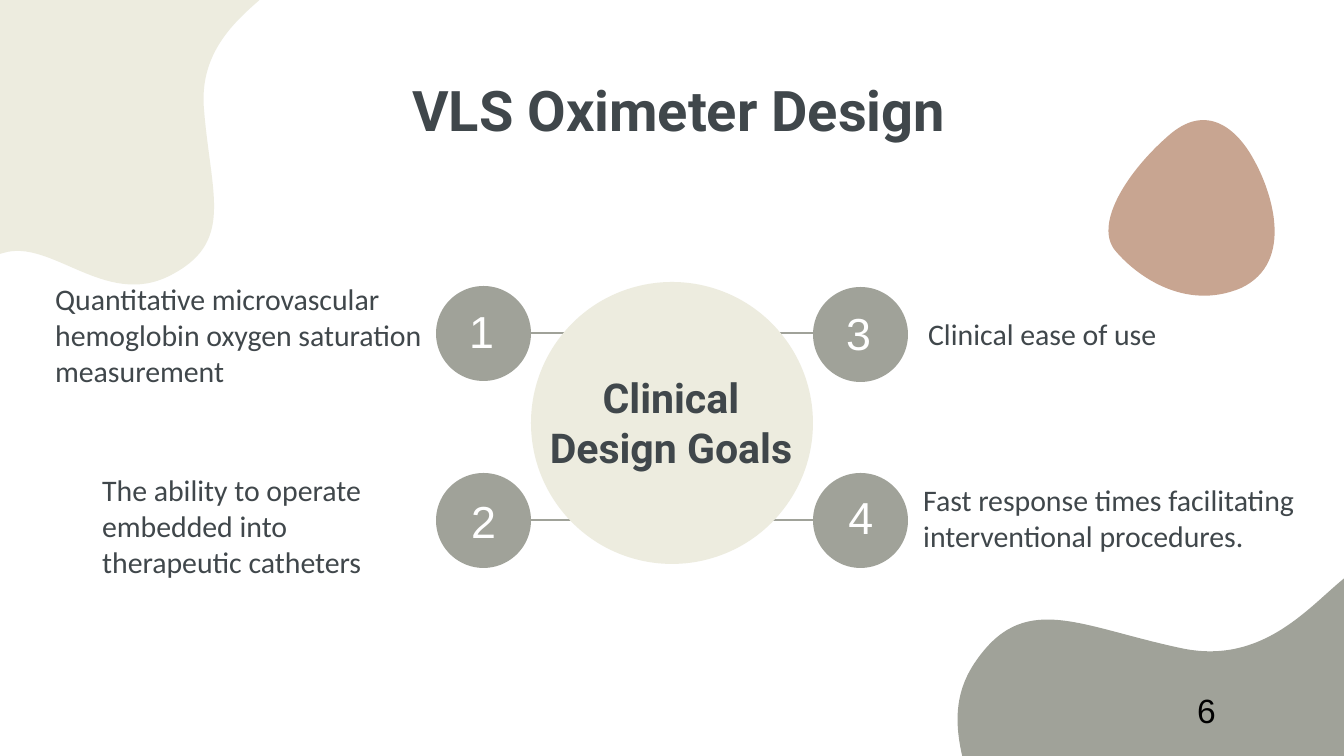
from math import cos, radians, sin
from typing import NamedTuple

from lxml import etree
from pptx import Presentation
from pptx.dml.color import RGBColor
from pptx.enum.shapes import MSO_CONNECTOR, MSO_SHAPE
from pptx.enum.text import MSO_ANCHOR, PP_ALIGN
from pptx.oxml.ns import qn
from pptx.util import Pt

STRAIGHT = MSO_CONNECTOR.STRAIGHT
OVAL = MSO_SHAPE.OVAL
TOP, MIDDLE, BOTTOM = MSO_ANCHOR.TOP, MSO_ANCHOR.MIDDLE, MSO_ANCHOR.BOTTOM
LEFT, CENTER = PP_ALIGN.LEFT, PP_ALIGN.CENTER

SLIDE_WIDTH, SLIDE_HEIGHT = 1344, 756
EMU_PER_PX = 9144000 / SLIDE_WIDTH
BADGE_SIZE = 95
LINE_LENGTH = 149
COLORS = {
    "cream": "EDECDF",
    "sage": "A0A299",
    "clay": "C8A591",
    "ink": "40474B",
    "white": "FFFFFF",
    "black": "000000",
}

Point = tuple[int, int]


class Box(NamedTuple):
    left: int
    top: int
    width: int
    height: int


class TextStyle(NamedTuple):
    font: str
    size: int
    color: str
    bold: bool = False
    align: PP_ALIGN = LEFT
    anchor: MSO_ANCHOR = TOP
    inset_y: int = 13


class Blob(NamedTuple):
    color: str
    frame: Box
    rotation: float
    start: Point
    curves: list[tuple[Point, Point, Point]]


class Goal(NamedTuple):
    number: str
    badge: Point
    digit: Point
    line_start: Point
    label: str
    label_box: Box


TITLE = TextStyle("Roboto", 30, "ink", True, CENTER, BOTTOM)
HUB = TextStyle("Roboto", 22, "ink", True, CENTER, MIDDLE)
LABEL = TextStyle("Calibri", 16, "ink", inset_y=14)
DIGIT = TextStyle("Arial", 24, "white", inset_y=7)
PAGE_NUMBER = TextStyle("Arial", 18, "black", inset_y=7)

BLOBS = [
    Blob("cream", Box(-188, -74, 595, 366), 135, (294, -38), [
        ((284, -5), (196, 23), (204, 110)),
        ((211, 196), (235, 243), (169, 276)),
        ((105, 308), (51, 238), (3, 253)),
        ((-46, 269), (-195, 226), (-98, 94)),
        ((-1, -39), (142, -132), (219, -129)),
        ((296, -125), (305, -71), (294, -38)),
    ]),
    Blob("sage", Box(804, 539, 722, 445), 322.3, (1372, 563), [
        ((1331, 570), (1284, 671), (1180, 648)),
        ((1077, 626), (1023, 590), (974, 664)),
        ((926, 737), (1001, 812), (976, 868)),
        ((950, 924), (978, 1110), (1153, 1013)),
        ((1327, 918), (1461, 759), (1469, 667)),
        ((1478, 575), (1414, 555), (1372, 563)),
    ]),
    Blob("clay", Box(1114, 136, 181, 173), 227, (1114, 249), [
        ((1134, 274), (1184, 312), (1241, 288)),
        ((1296, 262), (1271, 190), (1254, 160)),
        ((1238, 130), (1207, 101), (1168, 136)),
        ((1128, 171), (1095, 222), (1114, 249)),
    ]),
]

GOALS = [
    Goal("1", (436, 286), (456, 297), (491, 333),
         "Quantitative microvascular hemoglobin oxygen saturation measurement",
         Box(42, 267, 418, 106)),
    Goal("2", (436, 473), (458, 487), (505, 520),
         "The ability to operate embedded into therapeutic catheters",
         Box(89, 458, 340, 106)),
    Goal("3", (813, 287), (833, 299), (700, 333),
         "Clinical ease of use", Box(915, 302, 340, 106)),
    Goal("4", (813, 473), (835, 483), (715, 520),
         "Fast response times facilitating interventional procedures.",
         Box(910, 468, 398, 106)),
]


def px(value: float) -> int:
    """Turn pixels into EMU."""
    return round(value * EMU_PER_PX)


def rgb(name: str) -> RGBColor:
    """Look up a named colour."""
    return RGBColor.from_string(COLORS[name])


def paint(shape, color: str) -> None:
    """Give a shape a flat fill with no outline or shadow."""
    shape.fill.solid()
    shape.fill.fore_color.rgb = rgb(color)
    shape.line.fill.background()
    shape.shadow.inherit = False


def to_frame(point: Point, blob: Blob) -> Point:
    """Turn a slide point into EMU inside the blob's unrotated frame."""
    left, top, width, height = blob.frame
    angle = radians(blob.rotation)
    x = point[0] - left - width / 2
    y = point[1] - top - height / 2
    return (px(x * cos(angle) + y * sin(angle) + width / 2),
            px(y * cos(angle) - x * sin(angle) + height / 2))


def add_segment(outline, tag: str, points: list[Point]) -> None:
    """Append one drawing command to an outline."""
    segment = etree.SubElement(outline, qn(tag))
    for x, y in points:
        etree.SubElement(segment, qn("a:pt"), x=str(x), y=str(y))


def add_blob(slide, blob: Blob) -> None:
    """Draw a closed, rotated outline of Bézier curves."""
    builder = slide.shapes.build_freeform(*map(px, blob.start))
    builder.add_line_segments([tuple(map(px, curve[-1])) for curve in blob.curves])
    shape = builder.convert_to_shape()
    shape.left, shape.top, shape.width, shape.height = map(px, blob.frame)
    shape.rotation = blob.rotation
    outline = next(shape._element.iter(qn("a:path")))
    outline.set("w", str(px(blob.frame.width)))
    outline.set("h", str(px(blob.frame.height)))
    for segment in list(outline):
        outline.remove(segment)
    add_segment(outline, "a:moveTo", [to_frame(blob.start, blob)])
    for curve in blob.curves:
        add_segment(outline, "a:cubicBezTo", [to_frame(point, blob) for point in curve])
    add_segment(outline, "a:close", [])
    paint(shape, blob.color)


def add_circle(slide, corner: Point, size: int, color: str) -> None:
    """Draw a filled circle."""
    left, top = corner
    paint(slide.shapes.add_shape(OVAL, px(left), px(top), px(size), px(size)), color)


def add_line(slide, start: Point) -> None:
    """Draw a horizontal link between a badge and the hub."""
    x, y = start
    connector = slide.shapes.add_connector(STRAIGHT, px(x), px(y), px(x + LINE_LENGTH), px(y))
    connector.line.color.rgb = rgb("sage")
    connector.line.width = Pt(1.5)
    etree.SubElement(connector._element.spPr, qn("a:effectLst"))


def add_text(slide, box: Box, lines: list[str], style: TextStyle) -> None:
    """Place a text box with one paragraph per line."""
    frame = slide.shapes.add_textbox(*map(px, box)).text_frame
    frame.word_wrap = True
    frame.vertical_anchor = style.anchor
    frame.margin_top = frame.margin_bottom = px(style.inset_y)
    for index, line in enumerate(lines):
        paragraph = frame.add_paragraph() if index else frame.paragraphs[0]
        paragraph.alignment = style.align
        run = paragraph.add_run()
        run.text = line
        run.font.name = style.font
        run.font.size = Pt(style.size)
        run.font.bold = style.bold
        run.font.color.rgb = rgb(style.color)


def main() -> None:
    """Build the slide and save it."""
    presentation = Presentation()
    presentation.slide_width = px(SLIDE_WIDTH)
    presentation.slide_height = px(SLIDE_HEIGHT)
    slide = presentation.slides.add_slide(presentation.slide_layouts[6])
    for blob in BLOBS:
        add_blob(slide, blob)
    for goal in GOALS:
        add_line(slide, goal.line_start)
    add_text(slide, Box(105, 77, 1134, 79), [" VLS Oximeter Design"], TITLE)
    add_circle(slide, (531, 282), 282, "cream")
    for goal in GOALS:
        add_circle(slide, goal.badge, BADGE_SIZE, "sage")
        add_text(slide, goal.label_box, [goal.label], LABEL)
        add_text(slide, Box(*goal.digit, 52, 67), [goal.number], DIGIT)
    add_text(slide, Box(501, 396, 340, 52), [" Clinical ", "Design Goals"], HUB)
    add_text(slide, Box(1184, 683, 59, 54), ["6"], PAGE_NUMBER)
    presentation.save("out.pptx")


if __name__ == "__main__":
    main()
